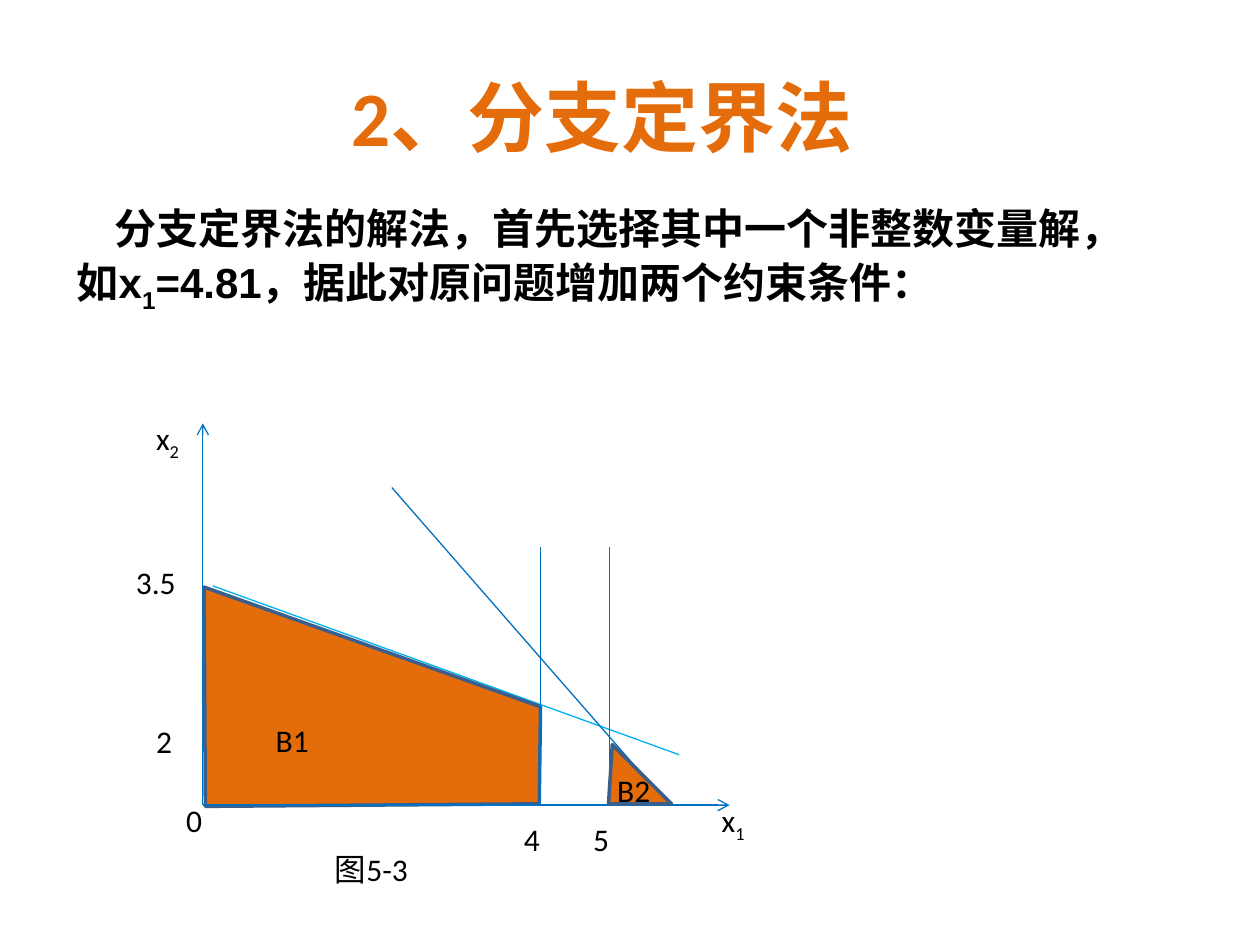
from lxml import etree
from pptx import Presentation
from pptx import util as u
from pptx.dml.color import RGBColor
from pptx.enum import shapes, text
from pptx.oxml.ns import qn

PX = 9144  # EMU per px, 100 px to the inch
COLORS = {
    "ink": "000000",
    "accent": "E46C0A",
    "edge": "3A5F8C",
    "axis": "0070C0",
    "sky": "00B0F0",
}


def color(name):
    return RGBColor.from_string(COLORS[name])


def write(para, content, size=18, font="Calibri", ink="ink", bold=False):
    """Add runs to para; the character after each "_" becomes a subscript."""
    first, *rest = content.split("_")
    pieces = [(first, False)]
    for piece in rest:
        pieces += [(piece[0], True), (piece[1:], False)]
    for piece, lowered in pieces:
        if not piece:
            continue
        span = para.add_run()
        span.text = piece
        span.font.size = u.Pt(size)
        span.font.name = font
        span.font.bold = bold
        span.font.color.rgb = color(ink)
        if lowered:
            span.font._element.set("baseline", "-25000")


class Page:
    def __init__(self, deck):
        self.slide = deck.slides.add_slide(deck.slide_layouts[6])
        self.shapes = self.slide.shapes

    def text(self, content, left, top, width, height=40, align=text.PP_ALIGN.LEFT,
             anchor=text.MSO_ANCHOR.TOP, leading=None, indent=0, **style):
        box = self.shapes.add_textbox(left * PX, top * PX, width * PX, height * PX)
        frame = box.text_frame
        frame.word_wrap = True
        frame.vertical_anchor = anchor
        para = frame.paragraphs[0]
        para.alignment = align
        if leading:
            para.line_spacing = u.Pt(leading)
        if indent:
            para._p.get_or_add_pPr().set("indent", str(indent * PX))
        write(para, content, **style)

    def line(self, start, end, ink="axis", arrow=False):
        ends = [value * PX for value in (*start, *end)]
        line = self.shapes.add_connector(shapes.MSO_CONNECTOR.STRAIGHT, *ends)
        line.line.color.rgb = color(ink)
        line.line.width = u.Pt(0.75)
        if arrow:
            etree.SubElement(line.line._get_or_add_ln(), qn("a:tailEnd"), type="arrow")
        etree.SubElement(line._element.spPr, qn("a:effectLst"))

    def region(self, start, *corners):
        builder = self.shapes.build_freeform(*start, scale=PX)
        builder.add_line_segments(corners, close=True)
        area = builder.convert_to_shape()
        area.shadow.inherit = False
        area.fill.solid()
        area.fill.fore_color.rgb = color("accent")
        area.line.color.rgb = color("edge")
        area.line.width = u.Pt(2)


def main():
    deck = Presentation()
    deck.slide_width, deck.slide_height = 1000 * PX, 750 * PX
    page = Page(deck)

    page.text("分支定界法的解法，首先选择其中一个非整数变量解，"
              "如x_1=4.81，据此对原问题增加两个约束条件：",
              51, 147, 882, 99, leading=35, indent=30,
              size=24, font="Arial", bold=True)

    origin = (161, 639)
    page.line((169, 465), (539, 599), ink="sky")
    page.region((162, 466), (163, 640), (428, 638), (429, 561))
    for tip in ((161, 336), (579, 639)):
        page.line(origin, tip, arrow=True)
    for bound in (429, 484):
        page.line((bound, 639), (bound, 434))
    page.line((531, 639), (311, 387))
    page.region((483, 638), (486, 591), (533, 638))

    labels = [
        ("3.5", 98, 442, 63),
        ("4", 406, 646, 63),
        ("5", 461, 646, 63),
        ("0", 138, 631, 63),
        ("x_2", 114, 328, 63),
        ("x_1", 563, 631, 63),
        ("图5-3", 256, 670, 94),
        ("B1", 209, 567, 126),
        ("B2", 480, 607, 126),
        ("2", 114, 568, 39),
    ]
    for label in labels:
        page.text(*label)

    page.text("2、分支定界法", 28, 29, 900, 125, align=text.PP_ALIGN.CENTER,
              anchor=text.MSO_ANCHOR.MIDDLE, size=44, ink="accent", bold=True)
    deck.save("out.pptx")


if __name__ == "__main__":
    main()
